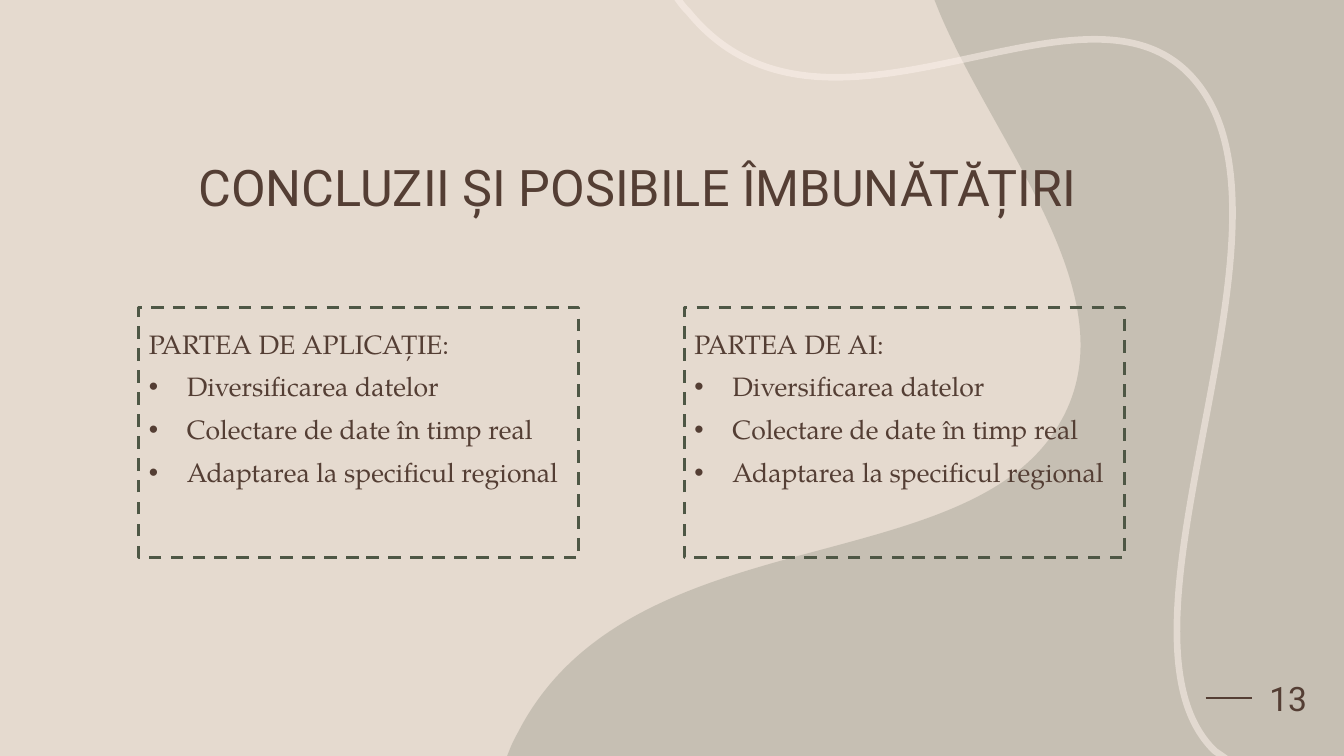
from dataclasses import dataclass

from lxml import etree
from pptx import Presentation
from pptx import util as u
from pptx.dml.color import RGBColor
from pptx.enum import dml, shapes, text
from pptx.oxml.ns import qn


@dataclass(frozen=True)
class Theme:
    background: str = "E5DACF"
    ink: str = "543E34"
    green: str = "4E5745"
    cream: str = "FEF3ED"
    heading_font: str = "Roboto"
    body_font: str = "TeX Gyre Pagella"
    title_size: float = 36
    number_size: float = 24
    body_size: float = 19


def set_alpha(fill, percent):
    """Make a solid fill partly transparent."""
    color = fill._xPr.find(qn("a:solidFill"))[0]
    etree.SubElement(color, qn("a:alpha")).set("val", str(percent * 1000))


def add_text(paragraph, content, *, font, size, color, align, line=None,
             before=None, bullet=None, indent=0):
    """Write one formatted run into a paragraph."""
    run = paragraph.add_run()
    run.text = content
    run.font.name = font
    run.font.size = u.Pt(size)
    run.font.color.rgb = RGBColor.from_string(color)
    paragraph.alignment = align
    paragraph.line_spacing = line
    paragraph.space_before = before
    if bullet:
        properties = paragraph._p.get_or_add_pPr()
        properties.set("marL", str(u.Cm(indent)))
        properties.set("indent", str(-u.Cm(indent)))
        etree.SubElement(properties, qn("a:buFont")).set("typeface", "Arial")
        etree.SubElement(properties, qn("a:buChar")).set("char", bullet)


class SlideBuilder:
    def __init__(self, slide, theme):
        self.slide = slide
        self.theme = theme
        fill = slide.background.fill
        fill.solid()
        fill.fore_color.rgb = RGBColor.from_string(theme.background)

    def outline(self, start, segments, width, closed):
        """Draw straight segments (1 point) and Bézier curves (3 points)."""
        builder = self.slide.shapes.build_freeform(*map(u.Cm, start))
        builder.add_line_segments(
            [tuple(map(u.Cm, segment[-1])) for segment in segments], close=closed)
        shape = builder.convert_to_shape()
        shape.shadow.inherit = False

        # Curves may bulge past their end points, so the frame has its own width
        outline = next(shape._element.iter(qn("a:path")))
        shape.width = u.Cm(width)
        outline.set("w", str(shape.width))
        for line, segment in zip(outline.findall(qn("a:lnTo")), segments):
            if len(segment) == 1:
                continue
            curve = etree.Element(qn("a:cubicBezTo"))
            for x, y in segment:
                point = etree.SubElement(curve, qn("a:pt"))
                point.set("x", str(u.Cm(x) - shape.left))
                point.set("y", str(u.Cm(y) - shape.top))
            outline.replace(line, curve)
        return shape

    def filled_wave(self, start, segments, width, color, alpha):
        shape = self.outline(start, segments, width, closed=True)
        shape.line.fill.background()
        shape.fill.solid()
        shape.fill.fore_color.rgb = RGBColor.from_string(color)
        set_alpha(shape.fill, alpha)

    def ribbon(self, start, segments, width, color, weight, alpha):
        shape = self.outline(start, segments, width, closed=False)
        shape.fill.background()
        shape.line.width = u.Pt(weight)
        shape.line.color.rgb = RGBColor.from_string(color)
        set_alpha(shape.line.fill, alpha)

    def label(self, content, left, top, width, height, size, anchor, line=None):
        box = self.slide.shapes.add_textbox(*map(u.Cm, (left, top, width, height)))
        frame = box.text_frame
        frame.word_wrap = True
        frame.vertical_anchor = anchor
        add_text(frame.paragraphs[0], content, font=self.theme.heading_font,
                 size=size, color=self.theme.ink,
                 align=text.PP_ALIGN.CENTER, line=line)
        return box

    def dash_before(self, box, length):
        middle = box.top + box.height // 2
        rule = self.slide.shapes.add_connector(
            shapes.MSO_CONNECTOR.STRAIGHT,
            box.left - u.Cm(length), middle, box.left, middle)
        rule.end_connect(box, 1)
        rule.line.width = u.Pt(1.25)
        rule.line.color.rgb = RGBColor.from_string(self.theme.ink)
        etree.SubElement(rule._element.spPr, qn("a:effectLst"))

    def card(self, heading, items, left, top, width, height):
        box = self.slide.shapes.add_shape(
            shapes.MSO_SHAPE.RECTANGLE, *map(u.Cm, (left, top, width, height)))
        box.shadow.inherit = False
        box.fill.background()
        box.line.width = u.Pt(2.25)
        box.line.color.rgb = RGBColor.from_string(self.theme.green)
        box.line.dash_style = dml.MSO_LINE.DASH
        frame = box.text_frame
        frame.word_wrap = True
        frame.vertical_anchor = text.MSO_ANCHOR.TOP
        style = dict(font=self.theme.body_font, size=self.theme.body_size,
                     color=self.theme.ink, align=text.PP_ALIGN.JUSTIFY,
                     before=u.Pt(10))
        add_text(frame.paragraphs[0], heading, line=1.5, **style)
        for item in items:
            add_text(frame.add_paragraph(), item, line=0.9, bullet="•",
                     indent=0.96, **style)


def main():
    presentation = Presentation()
    presentation.slide_width = u.Cm(33.87)
    presentation.slide_height = u.Cm(19.05)
    slide = presentation.slides.add_slide(presentation.slide_layouts[6])
    theme = Theme()
    builder = SlideBuilder(slide, theme)

    # Background wave and ribbon
    builder.filled_wave((23.55, 0), [
        [(33.87, 0)], [(33.87, 19.05)], [(12.78, 19.05)], [(12.88, 18.8)],
        [(12.98, 18.57), (13.08, 18.42), (13.13, 18.31)],
        [(16.03, 13), (24.43, 14.68), (26.72, 10.64)],
        [(28.52, 7.52), (25.1, 3.71), (23.67, 0.3)],
    ], 21.09, theme.green, alpha=20)
    builder.ribbon((30.91, 19.13), [
        [(30.84, 19.08)], [(30.61, 18.92)],
        [(27.53, 15.93), (33.2, 5.59), (30.1, 2.01)],
        [(27.38, -1.19), (20.83, 4.57), (17.35, 0.3)],
        [(17.27, 0.23), (17.17, 0.1), (17.04, -0.08)],
    ], 14.02, theme.cream, weight=4.75, alpha=50)

    # Title
    builder.label("CONCLUZII ȘI POSIBILE ÎMBUNĂTĂȚIRI", 1.68, 2.51, 28.78, 3.1,
                  theme.title_size, text.MSO_ANCHOR.BOTTOM, line=0.9)

    # Slide number with its short rule
    number = builder.label("13", 31.55, 16.34, 1.83, 2.49,
                           theme.number_size, text.MSO_ANCHOR.MIDDLE)
    builder.dash_before(number, 1.17)

    # Two cards with the same improvements
    improvements = ("Diversificarea datelor", "Colectare de date în timp real",
                    "Adaptarea la specificul regional")
    for column, heading in enumerate(("PARTEA DE APLICAȚIE:", "PARTEA DE AI:")):
        builder.card(heading, improvements, 3.5 + column * 13.75, 7.74, 11.08, 6.32)

    presentation.save("out.pptx")


if __name__ == "__main__":
    main()
